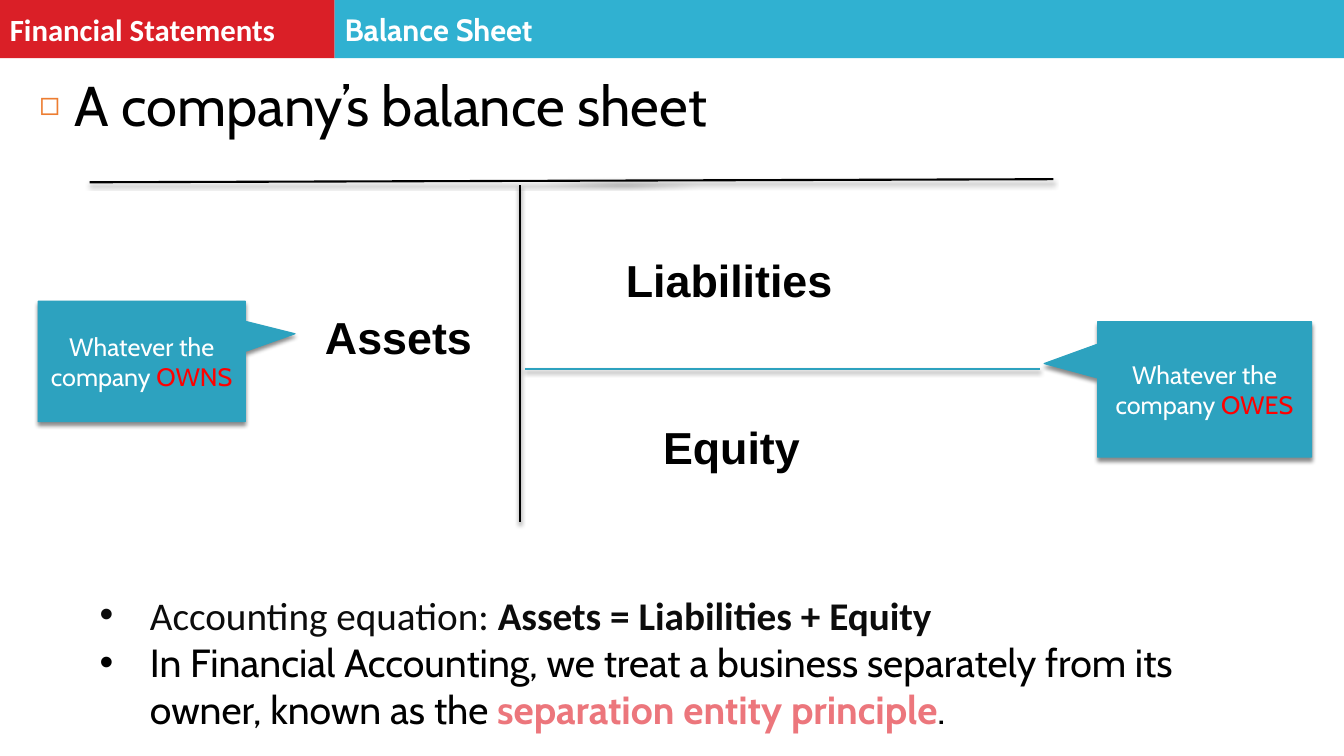
from lxml import etree
from pptx import Presentation
from pptx.dml.color import RGBColor
from pptx.enum.shapes import MSO_CONNECTOR, MSO_SHAPE
from pptx.enum.text import MSO_ANCHOR, MSO_AUTO_SIZE, PP_ALIGN
from pptx.oxml import parse_xml
from pptx.oxml.ns import nsdecls, qn
from pptx.util import Pt

RECTANGLE = MSO_SHAPE.RECTANGLE
CALLOUT = MSO_SHAPE.RECTANGULAR_CALLOUT
STRAIGHT = MSO_CONNECTOR.STRAIGHT
MIDDLE = MSO_ANCHOR.MIDDLE
GROW = MSO_AUTO_SIZE.SHAPE_TO_FIT_TEXT
LEFT, CENTER = PP_ALIGN.LEFT, PP_ALIGN.CENTER

BLACK = RGBColor(0x00, 0x00, 0x00)
INK = RGBColor(0x0C, 0x0C, 0x0C)
WHITE = RGBColor(0xFF, 0xFF, 0xFF)
RED = RGBColor(0xFF, 0x00, 0x00)
BANNER_RED = RGBColor(0xDA, 0x1F, 0x27)
BANNER_BLUE = RGBColor(0x30, 0xB1, 0xD1)
TEAL = RGBColor(0x2D, 0xA2, 0xBF)
PINK = RGBColor(0xEC, 0x76, 0x7C)
ORANGE = RGBColor(0xED, 0x7D, 0x31)

SHADOW = (
    f'<a:effectLst {nsdecls("a")}>'
    '<a:outerShdw blurRad="38100" dist="30480" dir="5400000" rotWithShape="0">'
    '<a:srgbClr val="000000"><a:alpha val="45000"/></a:srgbClr>'
    '</a:outerShdw></a:effectLst>'
)


def write(para, text, font="Cabin", size=28, color=BLACK, bold=False):
    span = para.add_run()
    span.text = text
    span.font.name = font
    span.font.size = Pt(size)
    span.font.color.rgb = color
    span.font.bold = bold


def add_bullet(para, char, indent, color=None, percent=None):
    props = para._p.get_or_add_pPr()
    props.set("marL", str(Pt(indent)))
    props.set("indent", str(-Pt(indent)))
    if color is not None:
        holder = etree.SubElement(props, qn("a:buClr"))
        etree.SubElement(holder, qn("a:srgbClr"), val=str(color))
    if percent:
        etree.SubElement(props, qn("a:buSzPct"), val=str(percent * 1000))
    etree.SubElement(props, qn("a:buFont"), typeface="Arial")
    etree.SubElement(props, qn("a:buChar"), char=char)


deck = Presentation()
deck.slide_width, deck.slide_height = Pt(960), Pt(540)
page = deck.slides.add_slide(deck.slide_layouts[6])
shapes = page.shapes

# Header banner
for text, left, width, fill, font in (
    ("Financial Statements", 0, 239, BANNER_RED, "Calibri"),
    ("Balance Sheet", 239, 721, BANNER_BLUE, "Cabin"),
):
    banner = shapes.add_shape(RECTANGLE, Pt(left), Pt(0), Pt(width), Pt(41.5))
    banner.shadow.inherit = False
    banner.fill.solid()
    banner.fill.fore_color.rgb = fill
    banner.line.fill.background()
    banner.text_frame.vertical_anchor = MIDDLE
    para = banner.text_frame.paragraphs[0]
    para.alignment = LEFT
    write(para, text, font=font, size=22, color=WHITE, bold=True)

# Heading
box = shapes.add_textbox(Pt(21), Pt(52), Pt(648), Pt(302))
box.text_frame.word_wrap = True
para = box.text_frame.paragraphs[0]
add_bullet(para, "◻", 25, color=ORANGE, percent=60)
para.line_spacing = 0.9
write(para, "A company’s balance sheet", size=40)

# Lines of the T-account
for x1, y1, x2, y2, color in (
    (64, 130.2, 752.5, 128, BLACK),
    (371.5, 132.5, 371.5, 373, BLACK),
    (375, 263.5, 743, 263.5, TEAL),
):
    rule = shapes.add_connector(STRAIGHT, Pt(x1), Pt(y1), Pt(x2), Pt(y2))
    rule.line.color.rgb = color
    rule.line.width = Pt(1.5)
    rule._element.spPr.append(parse_xml(SHADOW))

# Account names
for text, left, top, width in (
    ("Assets", 225, 217.5, 165),
    ("Liabilities", 440, 177, 207),
    ("Equity", 466.5, 296, 120),
):
    box = shapes.add_textbox(Pt(left), Pt(top), Pt(width), Pt(46))
    box.text_frame.word_wrap = True
    box.text_frame.auto_size = GROW
    write(box.text_frame.paragraphs[0], text, font="Arial", size=32, bold=True)

# Callouts
for word, left, top, width, height, tip_x, tip_y in (
    ("OWES", 784, 229.7, 152.8, 96.8, -0.75, -0.19),
    ("OWNS", 27.2, 215.2, 148, 86, 0.74, -0.23),
):
    callout = shapes.add_shape(CALLOUT, Pt(left), Pt(top), Pt(width), Pt(height))
    callout.adjustments[0] = tip_x
    callout.adjustments[1] = tip_y
    callout.fill.solid()
    callout.fill.fore_color.rgb = TEAL
    callout.line.color.rgb = TEAL
    callout.line.width = Pt(0.79)
    callout._element.spPr.append(parse_xml(SHADOW))
    callout.text_frame.vertical_anchor = MIDDLE
    para = callout.text_frame.paragraphs[0]
    para.alignment = CENTER
    write(para, "Whatever the company ", size=18, color=WHITE)
    write(para, word, size=18, color=RED)

# Accounting notes
box = shapes.add_textbox(Pt(64), Pt(418.5), Pt(855), Pt(109))
frame = box.text_frame
frame.word_wrap = True
frame.auto_size = GROW
equation, principle = frame.paragraphs[0], frame.add_paragraph()
for para in (equation, principle):
    add_bullet(para, "•", 36)
write(equation, "Accounting equation: ", font="Calibri", color=INK)
write(equation, "Assets = Liabilities + Equity", font="Calibri", color=INK, bold=True)
write(principle, "In Financial Accounting, we treat a business separately "
                 "from its owner, known as the ")
write(principle, "separation entity principle", color=PINK, bold=True)
write(principle, ".")

deck.save("out.pptx")
